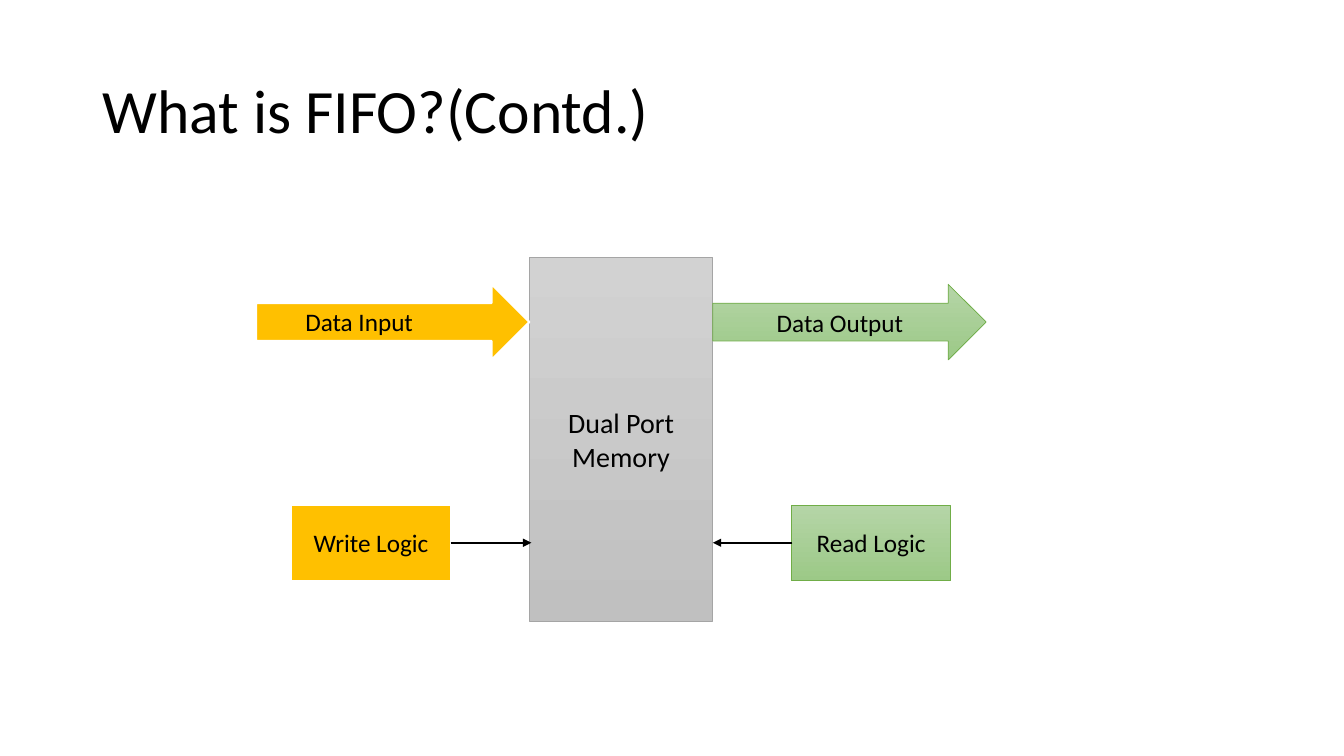
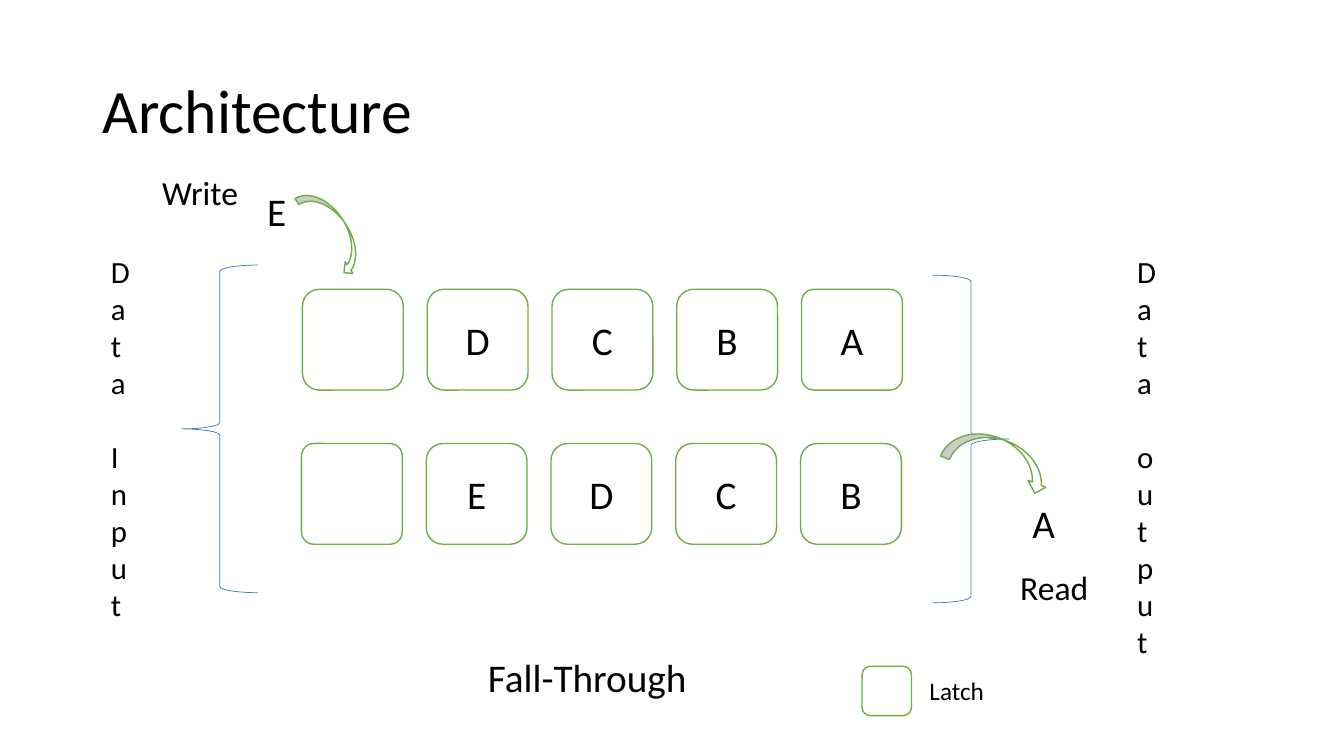
from pptx import Presentation
from pptx.dml.color import RGBColor
from pptx.enum.shapes import MSO_CONNECTOR as Connector, MSO_SHAPE as Preset
from pptx.enum.text import MSO_ANCHOR as Anchor, PP_ALIGN as Align
from pptx.oxml.ns import qn
from pptx.util import Inches, Pt
from lxml.etree import SubElement

FONT = "Calibri"
BLACK = RGBColor(0x00, 0x00, 0x00)
WHITE = RGBColor(0xFF, 0xFF, 0xFF)
AMBER = RGBColor(0xFF, 0xC0, 0x00)
BLUE = RGBColor(0x44, 0x72, 0xC4)
GREEN = RGBColor(0x70, 0xAD, 0x47)
GRAY = RGBColor(0xA5, 0xA5, 0xA5)
GREEN_BLEND = (RGBColor(0xB5, 0xD5, 0xA7), RGBColor(0x9C, 0xC9, 0x87))
GRAY_BLEND = (RGBColor(0xD2, 0xD2, 0xD2), RGBColor(0xC0, 0xC0, 0xC0))

# Fill, line colour and line width of each kind of part
MEMORY_STYLE = dict(fill=GRAY_BLEND, line=GRAY, line_width=0.5)
WRITE_STYLE = dict(fill=AMBER, line=WHITE, line_width=1.5)
READ_STYLE = dict(fill=GREEN_BLEND, line=GREEN, line_width=0.5)
LATCH_STYLE = dict(fill=WHITE, line=GREEN, line_width=1)
BRACE_STYLE = dict(fill=None, line=BLUE, line_width=0.5)


def write_text(frame, *lines, size=18, align=Align.LEFT, anchor=Anchor.TOP,
               wrap=True, line_spacing=None, gap=0):
    """Write one paragraph per line, with a gap in points between them."""
    frame.word_wrap = wrap
    frame.vertical_anchor = anchor
    for index, line in enumerate(lines):
        paragraph = frame.add_paragraph() if index else frame.paragraphs[0]
        paragraph.alignment = align
        paragraph.line_spacing = line_spacing
        if index and gap:
            paragraph.space_before = Pt(gap)
        run = paragraph.add_run()
        run.text = line
        run.font.name = FONT
        run.font.size = Pt(size)
        run.font.color.rgb = BLACK


def add_label(slide, left, top, width, height, *lines, **text_format):
    box = slide.shapes.add_textbox(Inches(left), Inches(top),
                                   Inches(width), Inches(height))
    write_text(box.text_frame, *lines, **text_format)


def add_part(slide, preset, left, top, width, height, text="", size=18,
             rotation=0, corner=None, *, fill, line, line_width):
    shape = slide.shapes.add_shape(preset, Inches(left), Inches(top),
                                   Inches(width), Inches(height))
    shape.shadow.inherit = False
    shape.rotation = rotation
    if corner is not None:
        shape.adjustments[0] = corner
    if fill is None:
        shape.fill.background()
    elif isinstance(fill, RGBColor):
        shape.fill.solid()
        shape.fill.fore_color.rgb = fill
    else:
        shape.fill.gradient()
        shape.fill.gradient_angle = 270
        for stop, color in zip(shape.fill.gradient_stops, fill):
            stop.color.rgb = color
    shape.line.color.rgb = line
    shape.line.width = Pt(line_width)
    if text:
        write_text(shape.text_frame, text, size=size,
                   align=Align.CENTER, anchor=Anchor.MIDDLE)


def add_arrow(slide, start, end, y):
    arrow = slide.shapes.add_connector(Connector.STRAIGHT, Inches(start), Inches(y),
                                       Inches(end), Inches(y))
    arrow.line.color.rgb = BLACK
    arrow.line.width = Pt(1.5)
    properties = arrow.element.spPr
    SubElement(properties.find(qn("a:ln")), qn("a:tailEnd"), type="triangle")
    SubElement(properties, qn("a:effectLst"))


def add_titled_slide(presentation, title):
    slide = presentation.slides.add_slide(presentation.slide_layouts[6])
    add_label(slide, 0.92, 0.4, 11.5, 1.45, title, size=44,
              anchor=Anchor.MIDDLE, line_spacing=0.9)
    return slide


def draw_memory_diagram(slide, left, top, width, height):
    """Memory in the middle, write side on its left, read side on its right."""
    memory_width, part_height = 1.82, 0.75
    side_width = (width - memory_width) / 2
    memory_left = left + side_width
    memory_right = memory_left + memory_width
    add_part(slide, Preset.RECTANGLE, memory_left, top, memory_width, height,
             "Dual Port Memory", 20, **MEMORY_STYLE)

    # Data flow
    flow_top = top + 0.27
    for flow_left, text, style in ((left, "", WRITE_STYLE),
                                   (memory_right, "Data Output", READ_STYLE)):
        add_part(slide, Preset.RIGHT_ARROW, flow_left, flow_top, side_width,
                 part_height, text, **style)
    add_label(slide, left + 0.39, flow_top + 0.17, 1.94, 0.4, "Data Input")

    # Control logic
    logic_width, logic_gap, logic_top = 1.58, 0.78, top + 2.46
    write_left = memory_left - logic_gap - logic_width
    read_left = memory_right + logic_gap
    for logic_left, text, style in ((write_left, "Write Logic", WRITE_STYLE),
                                    (read_left, "Read Logic", READ_STYLE)):
        add_part(slide, Preset.RECTANGLE, logic_left, logic_top, logic_width,
                 part_height, text, **style)
    arrow_y = logic_top + part_height / 2
    add_arrow(slide, write_left + logic_width, memory_left + 0.02, arrow_y)
    add_arrow(slide, read_left + 0.01, memory_right, arrow_y)


def draw_latch_row(slide, left, top, width, letters, tight):
    """Evenly spaced latches; the one at index tight has smaller corners."""
    size = 1
    pitch = (width - size) / (len(letters) - 1)
    for index, letter in enumerate(letters):
        add_part(slide, Preset.ROUNDED_RECTANGLE, left + index * pitch, top, size, size,
                 letter, 28, corner=0.124 if index == tight else None, **LATCH_STYLE)


def draw_port(slide, label_left, label_height, words, brace_left, brace_top, rotation):
    """A narrow label that stacks its letters, and the brace beside it."""
    add_label(slide, label_left, 2.46, 0.35, label_height, *words, size=22, gap=26.8)
    add_part(slide, Preset.LEFT_BRACE, brace_left, brace_top, 0.76, 3.25,
             rotation=rotation, **BRACE_STYLE)


def draw_write_step(slide, left, top):
    add_label(slide, left, top, 1, 0.5, "Write", size=24)
    add_label(slide, left + 1.04, top + 0.15, 0.25, 0.57, "E", size=28, wrap=False)
    add_part(slide, Preset.CURVED_DOWN_ARROW, left + 1.32, top + 0.49, 0.95, 0.28,
             rotation=56.5, **LATCH_STYLE)


def draw_read_step(slide, left, top):
    add_part(slide, Preset.CURVED_DOWN_ARROW, left, top, 1.1, 0.38,
             rotation=21.6, **LATCH_STYLE)
    add_label(slide, left + 0.78, top + 0.54, 0.53, 0.57, "A", size=28)
    add_label(slide, left + 0.66, top + 1.22, 0.89, 0.5, "Read", size=24, wrap=False)


def draw_legend(slide, left, top):
    add_part(slide, Preset.ROUNDED_RECTANGLE, left, top, 0.49, 0.49, **LATCH_STYLE)
    add_label(slide, left + 0.57, top + 0.04, 0.89, 0.4, "Latch")


def build_memory_slide(presentation):
    slide = add_titled_slide(presentation, "What is FIFO?(Contd.)")
    draw_memory_diagram(slide, 2.54, 2.55, 7.24, 3.61)


def build_architecture_slide(presentation):
    slide = add_titled_slide(presentation, "Architecture")
    draw_latch_row(slide, 3, 2.87, 5.95, ["", "D", "C", "B", "A"], tight=4)
    draw_latch_row(slide, 2.99, 4.4, 5.95, ["", "E", "D", "C", "B"], tight=0)
    draw_port(slide, 1, 3.8, ("Data", "Input"), 1.8, 2.63, 0)
    draw_port(slide, 11.18, 4.17, ("Data", "output"), 9.25, 2.73, 180)
    draw_write_step(slide, 1.51, 1.66)
    draw_read_step(slide, 9.36, 4.36)
    add_label(slide, 4.74, 6.43, 2.48, 0.57, "Fall-Through", size=28)
    draw_legend(slide, 8.55, 6.61)


def main():
    presentation = Presentation()
    presentation.slide_width = Inches(13.33)
    presentation.slide_height = Inches(7.5)
    build_memory_slide(presentation)
    build_architecture_slide(presentation)
    presentation.save("out.pptx")


if __name__ == "__main__":
    main()
